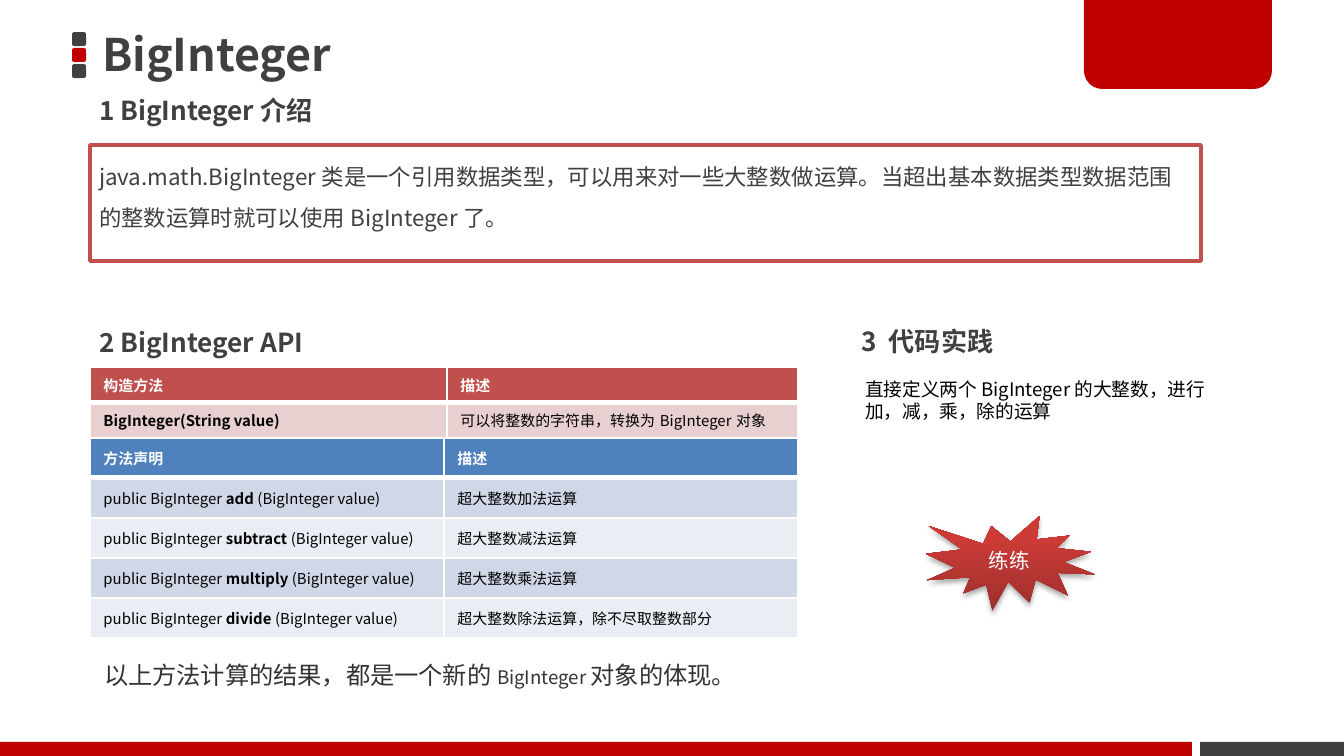
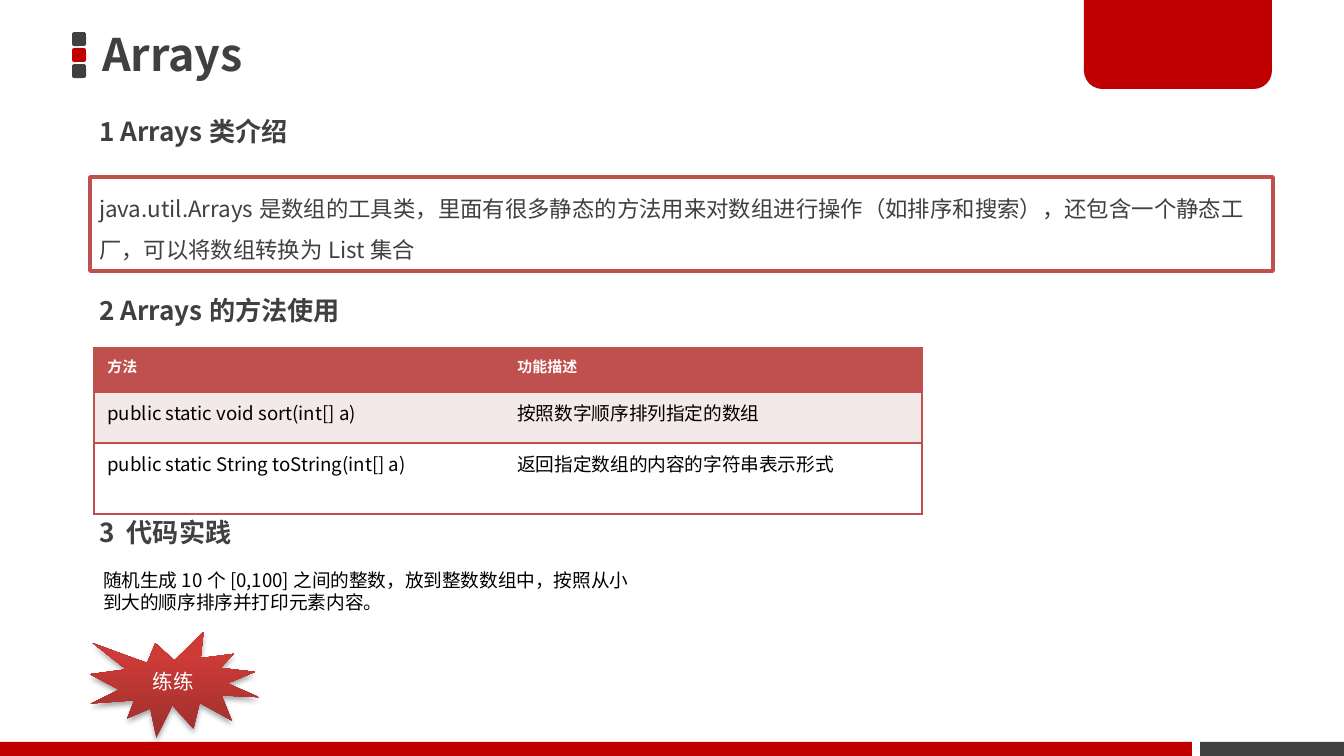
from lxml.etree import SubElement
from pptx import Presentation
from pptx.dml.color import RGBColor
from pptx.enum.shapes import MSO_SHAPE
from pptx.enum.text import MSO_ANCHOR, MSO_AUTO_SIZE, PP_ALIGN
from pptx.oxml import parse_xml
from pptx.oxml.ns import nsdecls, qn
from pptx.util import Emu, Pt

WHITE = RGBColor(0xFF, 0xFF, 0xFF)
BLACK = RGBColor(0, 0, 0)
DARK = RGBColor(0x40, 0x40, 0x40)
NOTE_GREY = RGBColor(0x33, 0x33, 0x33)
RED = RGBColor(0xC0, 0, 0)
BRICK = RGBColor(0xC0, 0x50, 0x4D)
PINK = RGBColor(0xE8, 0xD0, 0xD0)
PALE_PINK = RGBColor(0xF4, 0xE9, 0xE9)
BLUE = RGBColor(0x4F, 0x81, 0xBD)
LIGHT_BLUE = RGBColor(0xD0, 0xD8, 0xE8)
PALE_BLUE = RGBColor(0xE9, 0xED, 0xF4)
SEAL_BOTTOM = RGBColor(0x9C, 0x2F, 0x2D)
SEAL_TOP = RGBColor(0xCE, 0x3B, 0x37)

SANS = "Noto Sans CJK JP"
COMPARISON_LAYOUT = 4  # a title and four bodies


def px(length):
    return Emu(round(length * 914400 / 134.4))


def scaled(box):
    return [px(length) for length in box]


# Text
def set_font(font, size, color, bold, name=SANS):
    font.size, font.bold, font.name = Pt(size), bold, name
    font.color.rgb = color


def add_span(para, text, size, color, bold=False, name=SANS):
    span = para.add_run()
    span.text = text
    set_font(span.font, size, color, bold, name)
    east_asian = SubElement(span.font._element.get_or_add_rPr()
                            if hasattr(span.font._element, "get_or_add_rPr")
                            else span._r.get_or_add_rPr(), qn("a:ea")) \
        if hasattr(span.font, "_element") else \
        SubElement(span._r.get_or_add_rPr(), qn("a:ea"))
    east_asian.set("typeface", name)


def write(para, text, size, color, bold=False):
    set_font(para.font, size, color, bold)
    add_span(para, text, size, color, bold)


def add_note(page, box, anchor=MSO_ANCHOR.TOP):
    frame = page.shapes.add_textbox(*scaled(box)).text_frame
    frame.word_wrap = True
    frame.auto_size = MSO_AUTO_SIZE.SHAPE_TO_FIT_TEXT
    frame.vertical_anchor = anchor
    return frame.paragraphs[0]


def fill_placeholder(holder, box, text, size, bold=True, anchor=MSO_ANCHOR.MIDDLE):
    holder.left, holder.top, holder.width, holder.height = scaled(box)
    frame = holder.text_frame
    frame.word_wrap = True
    frame.auto_size = MSO_AUTO_SIZE.NONE
    frame.vertical_anchor = anchor
    frame.margin_left = frame.margin_right = px(9)
    frame.margin_top = frame.margin_bottom = px(5)
    para = frame.paragraphs[0]
    para.alignment = PP_ALIGN.LEFT
    properties = para._p.get_or_add_pPr()
    properties.set("marL", "0")
    properties.set("indent", "0")
    SubElement(properties, qn("a:buNone"))
    write(para, text, size, DARK, bold)
    return para


def fill_intro(holder, box, text):
    para = fill_placeholder(holder, box, text, 12, False, MSO_ANCHOR.TOP)
    para.line_spacing = 1.5
    holder.fill.solid()
    holder.fill.fore_color.rgb = WHITE
    holder.line.color.rgb = BRICK
    holder.line.width = Pt(2)


# Shapes
def add_block(shapes, kind, box, color):
    block = shapes.add_shape(kind, *scaled(box))
    block.shadow.inherit = False
    block.fill.solid()
    block.fill.fore_color.rgb = color
    block.line.fill.background()
    return block


def add_frame(page):
    squares = page.shapes.add_group_shape().shapes
    for index, color in enumerate((DARK, RED, DARK)):
        add_block(squares, MSO_SHAPE.ROUNDED_RECTANGLE, (72, 32 + 16 * index, 14, 14), color)
    tab = add_block(page.shapes, MSO_SHAPE.ROUND_2_SAME_RECTANGLE, (1084, -3, 188, 92), RED)
    tab.adjustments[0], tab.adjustments[1] = 0, 0.2
    add_block(page.shapes, MSO_SHAPE.RECTANGLE, (1200, 742, 144, 14), DARK)
    add_block(page.shapes, MSO_SHAPE.RECTANGLE, (0, 742, 1192, 14), RED)


def add_practice_seal(page, box):
    seal = add_block(page.shapes, MSO_SHAPE.EXPLOSION1, box, RED)
    seal.fill.gradient()
    seal.fill.gradient_angle = 90
    bottom, top = seal.fill.gradient_stops
    bottom.color.rgb, bottom.position = SEAL_BOTTOM, 0
    top.color.rgb, top.position = SEAL_TOP, 0.8
    seal._element.spPr.find(qn("a:effectLst")).append(parse_xml(
        f'<a:outerShdw {nsdecls("a")} blurRad="39370" dist="22860" dir="5400000" rotWithShape="0">'
        '<a:srgbClr val="000000"><a:alpha val="35000"/></a:srgbClr></a:outerShdw>'))
    frame = seal.text_frame
    frame.vertical_anchor = MSO_ANCHOR.MIDDLE
    para = frame.paragraphs[0]
    para.alignment = PP_ALIGN.CENTER
    write(para, "练练", 11, WHITE)


# Tables
def set_borders(cell, color, widths):
    """Draw the sides named in widths (points) and hide the others."""
    properties = cell._tc.get_or_add_tcPr()
    for index, side in enumerate("LRTB"):
        width = widths.get(side, 0)
        paint = f'<a:solidFill><a:srgbClr val="{color}"/></a:solidFill>' if width else "<a:noFill/>"
        properties.insert(index, parse_xml(
            f'<a:ln{side} {nsdecls("a")} w="{Pt(width)}">{paint}</a:ln{side}>'))


def write_cell(cell, content, size, color, bold):
    """Write a string, or a tuple whose second part is bold."""
    para = cell.text_frame.paragraphs[0]
    if isinstance(content, str):
        write(para, content, size, color, bold)
        return
    for index, text in enumerate(content):
        add_span(para, text, size, color, index == 1)


def add_table(page, corner, widths, heights, rows, fills, borders, size=8,
              anchor=MSO_ANCHOR.TOP, bold_names=False):
    box = (*corner, sum(widths), sum(heights))
    table = page.shapes.add_table(len(rows), len(widths), *scaled(box)).table
    table.first_row = table.horz_banding = False
    for column, width in zip(table.columns, widths):
        column.width = px(width)
    for row_index, (row, height, fill) in enumerate(zip(rows, heights, fills)):
        table.rows[row_index].height = px(height)
        header = row_index == 0
        for column_index, content in enumerate(row):
            cell = table.cell(row_index, column_index)
            cell.vertical_anchor = anchor
            cell.fill.solid()
            cell.fill.fore_color.rgb = fill
            borders(cell, header, column_index)
            bold = header or (bold_names and column_index == 0)
            write_cell(cell, content, 8 if header else size, WHITE if header else BLACK, bold)


def white_grid(cell, header, column):
    set_borders(cell, WHITE, {"L": 1, "R": 1, "T": 1, "B": 3 if header else 1})


def brick_outline(cell, header, column):
    set_borders(cell, BRICK, {"LR"[column]: 1, "T": 1, "B": 1})


# Slides
def add_page(deck, title, headings, intro):
    page = deck.slides.add_slide(deck.slide_layouts[COMPARISON_LAYOUT])
    title_holder, first, intro_holder, second, third = page.placeholders
    add_frame(page)
    fill_placeholder(title_holder, (93, 26, 966, 56), title, 24)
    for holder, (box, text) in zip((first, second, third), headings):
        fill_placeholder(holder, box, text, 14)
    fill_intro(intro_holder, *intro)
    return page


def add_big_integer_page(deck):
    page = add_page(
        deck, "BigInteger",
        [((90, 82, 548, 56), "1 BigInteger介绍"),
         ((90, 314, 548, 56), "2 BigInteger API"),
         ((852, 313, 349, 56), "3 代码实践")],
        ((90, 145, 1111, 116),
         "java.math.BigInteger类是一个引用数据类型，可以用来对一些大整数做运算。"
         "当超出基本数据类型数据范围的整数运算时就可以使用BigInteger了。"))

    add_table(page, (90, 367), (357, 351), (34, 34),
              [("构造方法", "描述"),
               ("BigInteger(String value)", "可以将整数的字符串，转换为BigInteger对象")],
              (BRICK, PINK), white_grid, bold_names=True)

    methods = [("add ", "超大整数加法运算"),
               ("subtract ", "超大整数减法运算"),
               ("multiply ", "超大整数乘法运算"),
               ("divide ", "超大整数除法运算，除不尽取整数部分")]
    rows = [("方法声明", "描述")]
    rows += [(("public BigInteger ", name, "(BigInteger value)"), effect)
             for name, effect in methods]
    add_table(page, (90, 438), (354, 354), [40] * len(rows), rows,
              (BLUE, *(LIGHT_BLUE, PALE_BLUE) * 2), white_grid, anchor=MSO_ANCHOR.MIDDLE)

    closing = add_note(page, (91, 653, 710, 43), MSO_ANCHOR.MIDDLE)
    add_span(closing, "以上方法计算的结果，都是一个新的", 13, NOTE_GREY, name="Arial")
    add_span(closing, "BigInteger", 10, NOTE_GREY)
    add_span(closing, "对象的体现。", 13, NOTE_GREY, name="Arial")

    write(add_note(page, (852, 371, 368, 59)),
          "直接定义两个BigInteger的大整数，进行加，减，乘，除的运算", 10, BLACK)
    add_practice_seal(page, (926, 516, 169, 95))


def add_arrays_page(deck):
    page = add_page(
        deck, "Arrays",
        [((90, 103, 548, 56), "1 Arrays类介绍"),
         ((90, 282, 548, 56), "2 Arrays的方法使用"),
         ((90, 504, 349, 56), "3 代码实践")],
        ((90, 177, 1183, 94),
         "java.util.Arrays是数组的工具类，里面有很多静态的方法用来对数组进行操作"
         "（如排序和搜索），还包含一个静态工厂，可以将数组转换为List集合"))

    add_table(page, (94, 348), (410, 418), (44, 51, 71),
              [("方法", "功能描述"),
               ("public static void sort(int[] a)", "按照数字顺序排列指定的数组"),
               ("public static String toString(int[] a)", "返回指定数组的内容的字符串表示形式")],
              (BRICK, PALE_PINK, WHITE), brick_outline, size=10)

    write(add_note(page, (90, 562, 567, 81)),
          "随机生成10个[0,100]之间的整数，放到整数数组中，按照从小到大的顺序排序并打印元素内容。",
          10, BLACK)
    add_practice_seal(page, (90, 632, 169, 106))


def main():
    deck = Presentation()
    deck.slide_width, deck.slide_height = px(1344), px(756)
    add_big_integer_page(deck)
    add_arrays_page(deck)
    deck.save("out.pptx")


if __name__ == "__main__":
    main()
